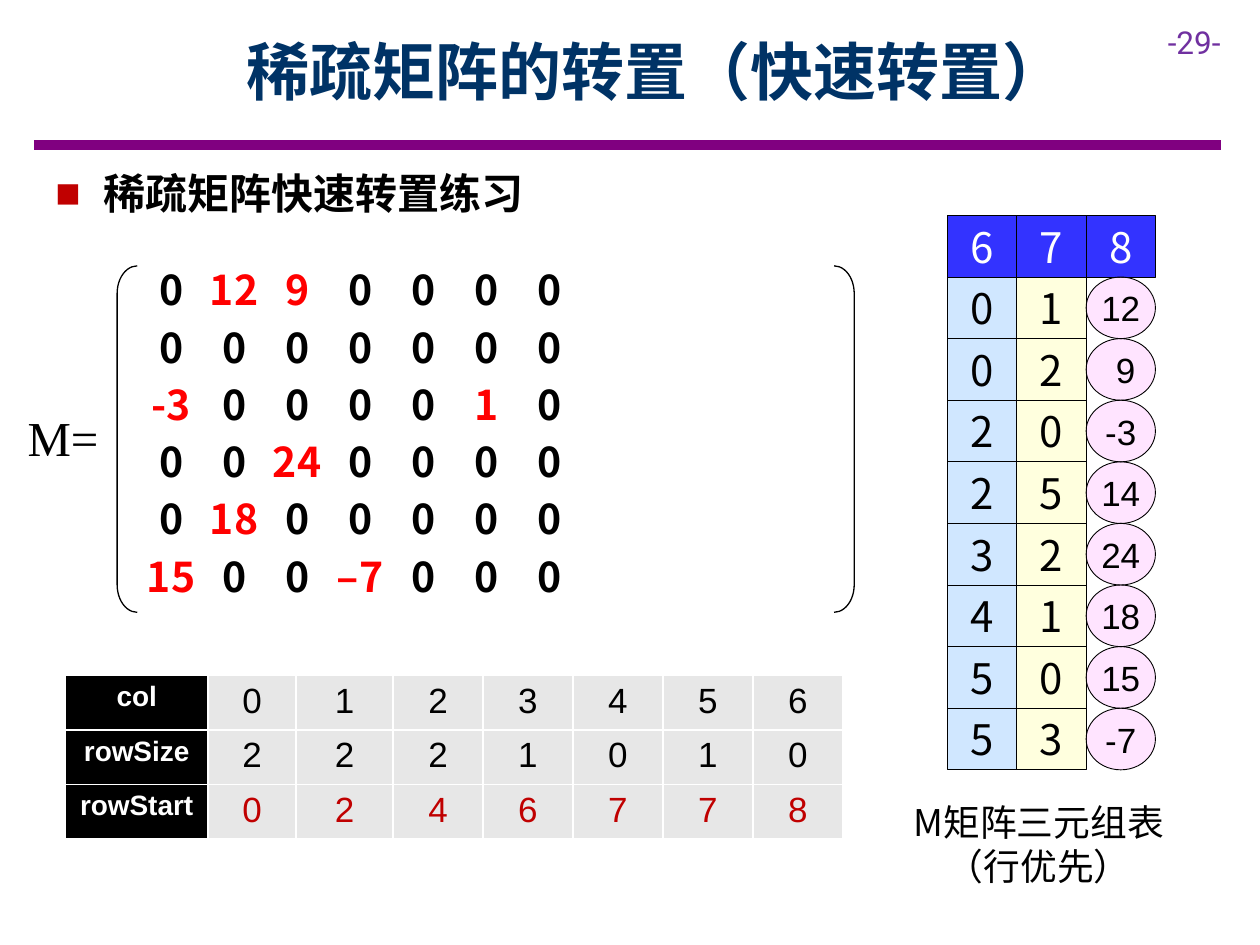
from dataclasses import dataclass

from lxml import etree
from pptx import Presentation
from pptx.dml.color import RGBColor
from pptx.enum.shapes import MSO_CONNECTOR, MSO_SHAPE
from pptx.enum.text import MSO_ANCHOR, MSO_AUTO_SIZE, PP_ALIGN
from pptx.oxml.ns import qn
from pptx.util import Inches, Pt

CENTER, LEFT = PP_ALIGN.CENTER, PP_ALIGN.LEFT
TOP, MIDDLE = MSO_ANCHOR.TOP, MSO_ANCHOR.MIDDLE
RECTANGLE, OVAL = MSO_SHAPE.RECTANGLE, MSO_SHAPE.OVAL
LEFT_BRACKET, RIGHT_BRACKET = MSO_SHAPE.LEFT_BRACKET, MSO_SHAPE.RIGHT_BRACKET

SLIDE_WIDTH, SLIDE_HEIGHT = Inches(10), Inches(7.5)
UNIT = SLIDE_WIDTH / 100  # the slide is a grid of 100 columns and 75 rows
CJK, ARIAL = "Noto Sans CJK SC", "Arial"
BLACK, WHITE, RED, DARK_RED = "000000", "FFFFFF", "FF0000", "C00000"

MATRIX = [
    "0 12 9 0 0 0 0",
    "0 0 0 0 0 0 0",
    "-3 0 0 0 0 1 0",
    "0 0 24 0 0 0 0",
    "0 18 0 0 0 0 0",
    "15 0 0 –7 0 0 0",
]
TRIPLES = [
    ("0", "1", "12"), ("0", "2", " 9"), ("2", "0", "-3"), ("2", "5", "14"),
    ("3", "2", "24"), ("4", "1", "18"), ("5", "0", "15"), ("5", "3", "-7"),
]
INDEX_ROWS = [("col", "0123456"), ("rowSize", "2221010"), ("rowStart", "0246778")]


@dataclass(frozen=True)
class Box:
    """A place on the slide, in grid units."""
    left: float
    top: float
    width: float
    height: float

    def lengths(self) -> list[int]:
        return [round(value * UNIT)
                for value in (self.left, self.top, self.width, self.height)]


@dataclass(frozen=True)
class TextStyle:
    size: float
    color: str = BLACK
    name: str = CJK
    bold: bool = False
    align: PP_ALIGN = CENTER
    line_spacing: object = None


@dataclass(frozen=True)
class CellStyle:
    """Look of one column of the triple table."""
    geometry: MSO_SHAPE
    fill: str
    opacity: int
    text: TextStyle


DIGIT = TextStyle(24)
TRIPLE_COLUMNS = [
    CellStyle(RECTANGLE, "99CCFF", 46, DIGIT),
    CellStyle(RECTANGLE, "FFFF00", 13, DIGIT),
    CellStyle(OVAL, "FF99FF", 26, TextStyle(20, name=ARIAL)),
]
HEADER_CELL = CellStyle(RECTANGLE, "3333FF", 100, TextStyle(24, WHITE))


def rgb(color: str) -> RGBColor:
    return RGBColor.from_string(color)


def style_paragraph(paragraph, style: TextStyle) -> None:
    paragraph.alignment = style.align
    paragraph.space_before = Pt(0)
    if style.line_spacing is not None:
        paragraph.line_spacing = style.line_spacing
    font = paragraph.font
    font.size, font.bold, font.name = Pt(style.size), style.bold, style.name
    font.color.rgb = rgb(style.color)
    defaults = paragraph._p.get_or_add_pPr().find(qn("a:defRPr"))
    etree.SubElement(defaults, qn("a:ea"), typeface=style.name)


def set_frame(frame, anchor: MSO_ANCHOR, inset_x: float, inset_y: float) -> None:
    frame.auto_size, frame.word_wrap = MSO_AUTO_SIZE.NONE, True
    frame.vertical_anchor = anchor
    frame.margin_left = frame.margin_right = round(inset_x * UNIT)
    frame.margin_top = frame.margin_bottom = round(inset_y * UNIT)


def write_lines(frame, lines: list[str], style: TextStyle) -> None:
    frame.text = "\n".join(lines)
    for paragraph in frame.paragraphs:
        style_paragraph(paragraph, style)


def add_text(slide, box: Box, lines: list[str], style: TextStyle,
             inset_x: float = 1, inset_y: float = 0.5) -> None:
    frame = slide.shapes.add_textbox(*box.lengths()).text_frame
    set_frame(frame, TOP, inset_x, inset_y)
    write_lines(frame, lines, style)


def fill_placeholder(placeholder, box: Box, text: str, style: TextStyle,
                     anchor: MSO_ANCHOR) -> None:
    placeholder.left, placeholder.top, placeholder.width, placeholder.height = box.lengths()
    set_frame(placeholder.text_frame, anchor, 0.9, 0.4)
    write_lines(placeholder.text_frame, [text], style)


def add_bullet(paragraph, character: str, color: str, indent: float) -> None:
    properties = paragraph._p.get_or_add_pPr()
    width = round(indent * UNIT)
    properties.set("marL", str(width))
    properties.set("indent", str(-width))
    bullet_color = etree.Element(qn("a:buClr"))
    etree.SubElement(bullet_color, qn("a:srgbClr"), val=color)
    bullet = etree.Element(qn("a:buChar"), char=character)
    defaults = properties.find(qn("a:defRPr"))
    defaults.addprevious(bullet_color)
    defaults.addprevious(bullet)


def add_rule(slide, left: float, right: float, y: float) -> None:
    start, end, height = (round(value * UNIT) for value in (left, right, y))
    rule = slide.shapes.add_connector(MSO_CONNECTOR.STRAIGHT, start, height, end, height)
    rule.line.color.rgb, rule.line.width = rgb("800080"), Pt(6)
    etree.SubElement(rule._element.spPr, qn("a:effectLst"))


def add_outline(slide, geometry: MSO_SHAPE, box: Box, line_width: float):
    shape = slide.shapes.add_shape(geometry, *box.lengths())
    shape.shadow.inherit = False
    shape.line.color.rgb, shape.line.width = rgb(BLACK), Pt(line_width)
    return shape


def add_bracket(slide, geometry: MSO_SHAPE, left: float) -> None:
    bracket = add_outline(slide, geometry, Box(left, 21.1, 1.6, 27.5), 0.75)
    bracket.adjustments[0] = 1.375
    bracket.fill.background()


def add_matrix(slide, box: Box) -> None:
    """Write the matrix on centred tab stops, non-zero values in red."""
    frame = slide.shapes.add_textbox(*box.lengths()).text_frame
    set_frame(frame, TOP, 1, 0.5)
    style = TextStyle(23.4, bold=True, align=LEFT, line_spacing=Pt(32.7))
    for number, row in enumerate(MATRIX):
        paragraph = frame.paragraphs[0] if number == 0 else frame.add_paragraph()
        values = row.split()
        for value in values:
            run = paragraph.add_run()
            run.text = "\t" + value
            run.font.color.rgb = rgb(BLACK if value == "0" else RED)
        style_paragraph(paragraph, style)
        tabs = etree.Element(qn("a:tabLst"))
        for column in range(len(values)):
            position = round((2.1 + 5 * column) * UNIT)
            etree.SubElement(tabs, qn("a:tab"), pos=str(position), algn="ctr")
        paragraph._p.pPr.find(qn("a:defRPr")).addprevious(tabs)


def add_triple_row(slide, row: int, values: tuple, styles: list[CellStyle]) -> None:
    width, height = 5.5, 44 / 9
    for column, (value, style) in enumerate(zip(values, styles)):
        box = Box(75.2 + column * width, 17.1 + row * height, width, height)
        cell = add_outline(slide, style.geometry, box, 0.5)
        cell.fill.solid()
        cell.fill.fore_color.rgb = rgb(style.fill)
        color = cell._element.spPr.find(qn("a:solidFill"))[0]
        etree.SubElement(color, qn("a:alpha"), val=str(style.opacity * 1000))
        set_frame(cell.text_frame, MIDDLE, 0, 0)
        write_lines(cell.text_frame, [value], style.text)


def add_index_table(slide, box: Box) -> None:
    table = slide.shapes.add_table(len(INDEX_ROWS), 8, *box.lengths()).table
    table.first_row = table.horz_banding = False
    widths = [11.3, 7, 7.7] + [(box.width - 26) / 5] * 5
    for column, width in zip(table.columns, widths):
        column.width = round(width * UNIT)
    for row, (label, digits) in enumerate(INDEX_ROWS):
        digit_color = DARK_RED if label == "rowStart" else BLACK
        for column, text in enumerate([label, *digits]):
            cell = table.cell(row, column)
            is_label = column == 0
            style = (TextStyle(16, WHITE, ARIAL, True) if is_label
                     else TextStyle(20, digit_color, ARIAL))
            cell.fill.solid()
            cell.fill.fore_color.rgb = rgb(BLACK if is_label else "E7E7E7")
            write_lines(cell.text_frame, [text], style)


def main() -> None:
    presentation = Presentation()
    presentation.slide_width, presentation.slide_height = SLIDE_WIDTH, SLIDE_HEIGHT
    slide = presentation.slides.add_slide(presentation.slide_layouts[1])
    title, body = slide.placeholders
    fill_placeholder(title, Box(11.4, 2.2, 81.4, 6.8), "稀疏矩阵的转置（快速转置）",
                     TextStyle(36, "003366", bold=True), MIDDLE)
    fill_placeholder(body, Box(3.5, 12.5, 96.5, 5.4), "稀疏矩阵快速转置练习",
                     TextStyle(24, bold=True, align=LEFT, line_spacing=1.1), TOP)
    add_bullet(body.text_frame.paragraphs[0], "■", DARK_RED, 3.8)
    add_rule(slide, 2.7, 96.9, 11.5)
    add_text(slide, Box(91.7, 1.3, 8.3, 4), ["-29-"],
             TextStyle(18, "7030A0", "Roboto", align=LEFT))

    add_bracket(slide, LEFT_BRACKET, 9.3)
    add_bracket(slide, RIGHT_BRACKET, 66.2)
    add_text(slide, Box(1.2, 31.9, 8.1, 5.7), ["M="],
             TextStyle(27.9, name="Times New Roman", align=LEFT))
    add_matrix(slide, Box(10.5, 19.9, 56.1, 28.6))
    add_index_table(slide, Box(5.2, 53.6, 61.7, 13))

    add_triple_row(slide, 0, ("6", "7", "8"), [HEADER_CELL] * 3)
    for row, triple in enumerate(TRIPLES, start=1):
        add_triple_row(slide, row, triple, TRIPLE_COLUMNS)
    add_text(slide, Box(71.8, 63.5, 21.3, 7.1), ["M矩阵三元组表", "（行优先）"],
             TextStyle(21, line_spacing=Pt(25.2)), 0, 0)
    presentation.save("out.pptx")


if __name__ == "__main__":
    main()
